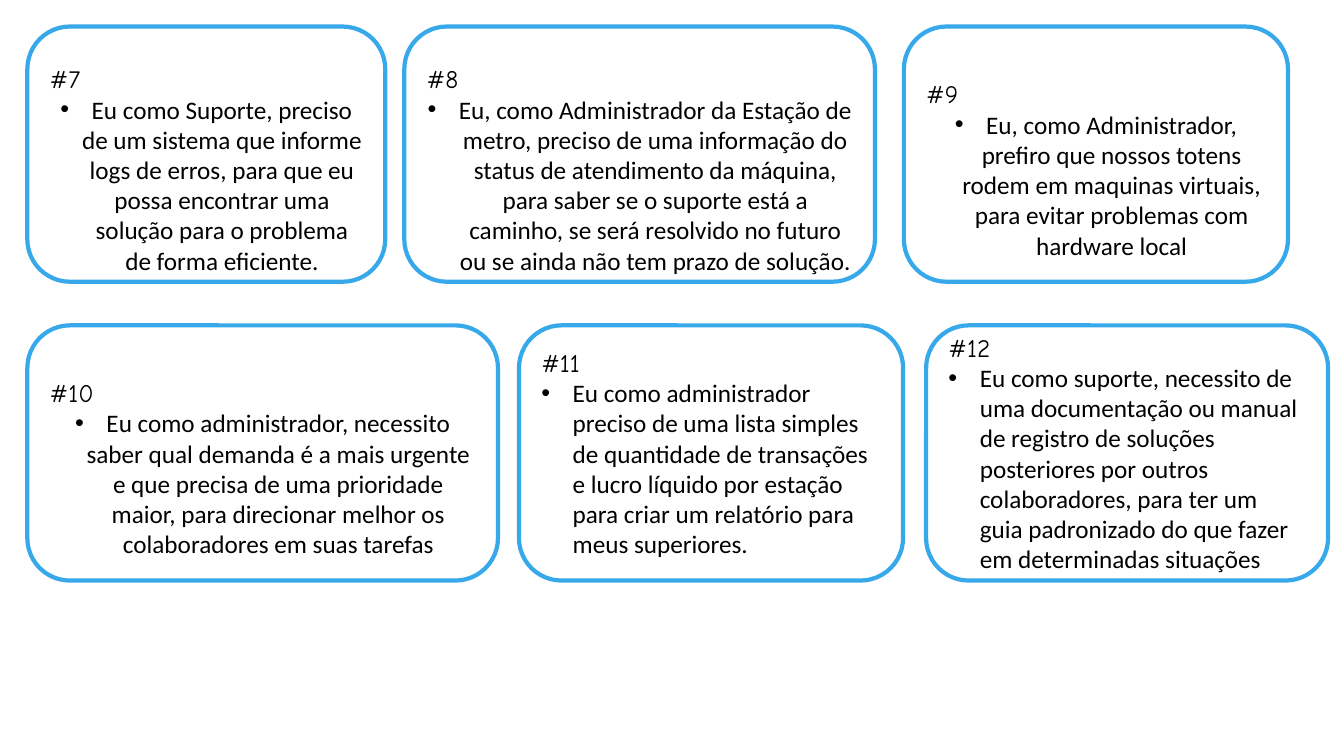
from lxml import etree
from pptx import Presentation
from pptx.dml.color import RGBColor
from pptx.enum.shapes import MSO_SHAPE
from pptx.enum.text import MSO_ANCHOR, PP_ALIGN
from pptx.oxml.ns import qn
from pptx.util import Cm, Pt

ROUNDED = MSO_SHAPE.ROUNDED_RECTANGLE
MIDDLE = MSO_ANCHOR.MIDDLE
LEFT, CENTER = PP_ALIGN.LEFT, PP_ALIGN.CENTER

THEME = {
    "fill": RGBColor(0xFF, 0xFF, 0xFF),
    "border": RGBColor(0x37, 0xA8, 0xE9),
    "text": RGBColor(0, 0, 0),
    "number_font": "Comic Neue",
    "story_font": "Calibri",
    "size": Pt(18),
    "border_width": Pt(3),
}
CARD_HEIGHT = Cm(6.43)
BULLET_INDENT = Cm(0.79)
INSET = Cm(0.13)
LOWERED_INSET = Cm(0.9)  # moves the text down by half a line

# Rows of cards: top, then (left, width, alignment, top inset, story) in cm
ROWS = [
    (0.67, [
        (0.69, 9.02, CENTER, LOWERED_INSET,
         "Eu como Suporte, preciso de um sistema que informe logs de erros, "
         "para que eu possa encontrar uma solução para o problema de forma "
         "eficiente."),
        (10.19, 11.86, CENTER, LOWERED_INSET,
         "Eu, como Administrador da Estação de metro, preciso de uma "
         "informação do status de atendimento da máquina, para saber se o "
         "suporte está a caminho, se será resolvido no futuro ou se ainda "
         "não tem prazo de solução."),
        (22.78, 9.68, CENTER, LOWERED_INSET,
         "Eu, como Administrador, prefiro que nossos totens rodem em maquinas "
         "virtuais, para evitar problemas com hardware local"),
    ]),
    (8.2, [
        (0.69, 11.86, CENTER, LOWERED_INSET,
         "Eu como administrador, necessito saber qual demanda é a mais "
         "urgente e que precisa de uma prioridade maior, para direcionar "
         "melhor os colaboradores em suas tarefas"),
        (13.08, 9.68, LEFT, INSET,
         "Eu como administrador preciso de uma lista simples de quantidade de "
         "transações e lucro líquido por estação para criar um relatório "
         "para meus superiores."),
        (23.34, 10.13, LEFT, INSET,
         "Eu como suporte, necessito de uma documentação ou manual de "
         "registro de soluções posteriores por outros colaboradores, para "
         "ter um guia padronizado do que fazer em determinadas situações"),
    ]),
]


def write(paragraph, text, font_name, alignment):
    paragraph.text = text
    paragraph.alignment = alignment
    font = paragraph.runs[0].font
    font.name = font_name
    font.size = THEME["size"]
    font.color.rgb = THEME["text"]


def add_bullet(paragraph):
    properties = paragraph._p.get_or_add_pPr()
    properties.set("marL", str(BULLET_INDENT))
    properties.set("indent", str(-BULLET_INDENT))
    etree.SubElement(properties, qn("a:buFont"), typeface="Arial")
    etree.SubElement(properties, qn("a:buChar"), char="•")


presentation = Presentation()
presentation.slide_width = Cm(33.87)
presentation.slide_height = Cm(19.05)
slide = presentation.slides.add_slide(presentation.slide_layouts[6])

# User story cards, numbered from 7
number = 7
for top, cards in ROWS:
    for left, width, alignment, top_inset, story in cards:
        card = slide.shapes.add_shape(
            ROUNDED, Cm(left), Cm(top), Cm(width), CARD_HEIGHT)
        card.shadow.inherit = False
        card.fill.solid()
        card.fill.fore_color.rgb = THEME["fill"]
        card.line.color.rgb = THEME["border"]
        card.line.width = THEME["border_width"]

        # Number and bulleted story
        text_frame = card.text_frame
        text_frame.word_wrap = True
        text_frame.vertical_anchor = MIDDLE
        text_frame.margin_top = top_inset
        text_frame.margin_bottom = INSET
        write(text_frame.paragraphs[0], f"#{number}", THEME["number_font"], LEFT)
        story_paragraph = text_frame.add_paragraph()
        write(story_paragraph, story, THEME["story_font"], alignment)
        add_bullet(story_paragraph)
        number += 1

presentation.save("out.pptx")
